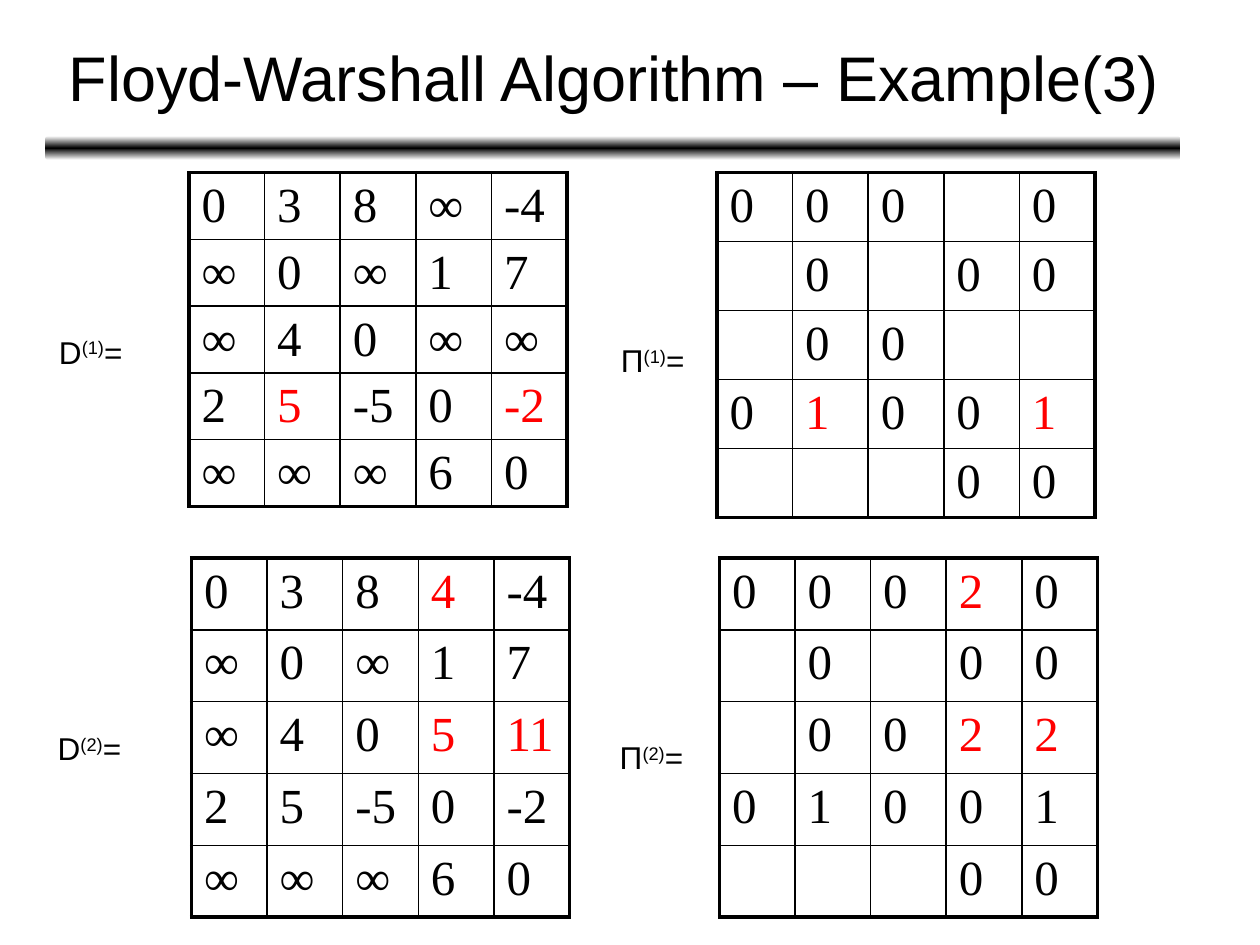
"""Build the Floyd-Warshall example slide with its distance and predecessor matrices."""
from copy import deepcopy
from typing import NamedTuple

from lxml import etree
from pptx import Presentation
from pptx import util as u
from pptx.dml.color import RGBColor
from pptx.enum import shapes, text
from pptx.oxml import ns

COLORS = {"ink": "000000", "changed": "FF0000", "paper": "FFFFFF"}
COLUMN_WIDTH = 0.6
OUTER, INNER = 2.25, 1


class Matrix(NamedTuple):
    """A matrix whose rows are split by / and whose changed entries end in *; _ is empty."""
    symbol: str
    step: int
    left: float
    top: float
    row_height: float
    label_left: float
    label_top: float
    label_width: float
    entries: str


MATRICES = [
    Matrix("D", 1, 1.5, 1.37, 0.53, 0.37, 2.59, 0.84,
           "0 3 8 ∞ -4 / ∞ 0 ∞ 1 7 / ∞ 4 0 ∞ ∞ / 2 5* -5 0 -2* / ∞ ∞ ∞ 6 0"),
    Matrix("Π", 1, 5.69, 1.37, 0.53, 4.83, 2.66, 0.89,
           "0 0 0 _ 0 / _ 0 _ 0 0 / _ 0 0 _ _ / 0 1* 0 0 1* / _ _ _ 0 0"),
    Matrix("D", 2, 1.52, 4.43, 0.57, 0.36, 5.74, 0.84,
           "0 3 8 4* -4 / ∞ 0 ∞ 1 7 / ∞ 4 0 5* 11* / 2 5 -5 0 -2 / ∞ ∞ ∞ 6 0"),
    Matrix("Π", 2, 5.71, 4.43, 0.57, 4.82, 5.81, 0.89,
           "0 0 0 2* 0 / _ 0 _ 0 0 / _ 0 0 2* 2* / 0 1 0 0 1 / _ _ _ 0 0"),
]


def rgb(name: str) -> RGBColor:
    return RGBColor.from_string(COLORS[name])


def add_span(para, words: str, *, size: float = 18, font: str = "Arial",
             color: str = "ink", raised: int = 0) -> None:
    span = para.add_run()
    span.text = words
    span.font.size = u.Pt(size)
    span.font.name = font
    span.font.color.rgb = rgb(color)
    if raised:
        span.font._element.set("baseline", str(raised * 1000))


def set_borders(cell, widths: dict[str, float]) -> None:
    properties = cell._tc.get_or_add_tcPr()
    for position, (side, width) in enumerate(widths.items()):
        line = etree.Element(ns.qn(f"a:ln{side}"), w=str(u.Pt(width)))
        fill = etree.SubElement(line, ns.qn("a:solidFill"))
        etree.SubElement(fill, ns.qn("a:srgbClr"), val=COLORS["ink"])
        properties.insert(position, line)


def space_before(para, percent: int) -> None:
    spacing = etree.SubElement(para._p.get_or_add_pPr(), ns.qn("a:spcBef"))
    etree.SubElement(spacing, ns.qn("a:spcPct"), val=str(percent * 1000))


def add_title(page, words: str) -> None:
    title = page.shapes.title
    title.left, title.top = u.Inches(0.37), u.Inches(0.11)
    title.width, title.height = u.Inches(9), u.Inches(0.99)
    title.text_frame.vertical_anchor = text.MSO_ANCHOR.MIDDLE
    para = title.text_frame.paragraphs[0]
    para.alignment = text.PP_ALIGN.CENTER
    add_span(para, words, size=36)


def add_rule(page) -> None:
    rule = page.shapes.add_shape(shapes.MSO_SHAPE.ROUNDED_RECTANGLE, u.Inches(0.36),
                                 u.Inches(1.08), u.Inches(9.01), u.Inches(0.19))
    rule.shadow.inherit = False
    rule.line.fill.background()
    rule.fill.gradient()
    rule.fill.gradient_angle = 90
    first = rule.fill.gradient_stops[0]._gs
    first.addnext(deepcopy(first))
    for stop, color, position in zip(rule.fill.gradient_stops,
                                     ("paper", "ink", "paper"), (0, 0.5, 1)):
        stop.color.rgb = rgb(color)
        stop.position = position


def add_label(page, matrix: Matrix) -> None:
    box = page.shapes.add_textbox(u.Inches(matrix.label_left), u.Inches(matrix.label_top),
                                  u.Inches(matrix.label_width), u.Inches(0.4))
    box.text_frame.word_wrap = True
    para = box.text_frame.paragraphs[0]
    add_span(para, matrix.symbol)
    add_span(para, f"({matrix.step})", raised=30)
    add_span(para, "=")


def add_matrix(page, matrix: Matrix) -> None:
    rows = [row.split() for row in matrix.entries.split("/")]
    count = len(rows)
    table = page.shapes.add_table(count, count, u.Inches(matrix.left), u.Inches(matrix.top),
                                  u.Inches(count * COLUMN_WIDTH),
                                  u.Inches(count * matrix.row_height)).table
    table.first_row = table.horz_banding = False
    for column in table.columns:
        column.width = u.Inches(COLUMN_WIDTH)
    for r, row in enumerate(rows):
        table.rows[r].height = u.Inches(matrix.row_height)
        for c, entry in enumerate(row):
            cell = table.cell(r, c)
            cell.margin_bottom = u.Inches(0.03)
            cell.fill.background()
            edges = {"L": c == 0, "R": c == count - 1, "T": r == 0, "B": r == count - 1}
            set_borders(cell, {side: OUTER if outer else INNER
                               for side, outer in edges.items()})
            if entry != "_":
                para = cell.text_frame.paragraphs[0]
                space_before(para, 20)
                add_span(para, entry.rstrip("*"), size=28, font="Times New Roman",
                         color="changed" if entry.endswith("*") else "ink")


def main() -> None:
    deck = Presentation()
    deck.slide_width, deck.slide_height = u.Inches(10), u.Inches(7.5)
    page = deck.slides.add_slide(deck.slide_layouts[5])
    add_rule(page)
    add_title(page, "Floyd-Warshall Algorithm – Example(3)")
    for matrix in MATRICES:
        add_matrix(page, matrix)
        add_label(page, matrix)
    deck.save("out.pptx")


main()
